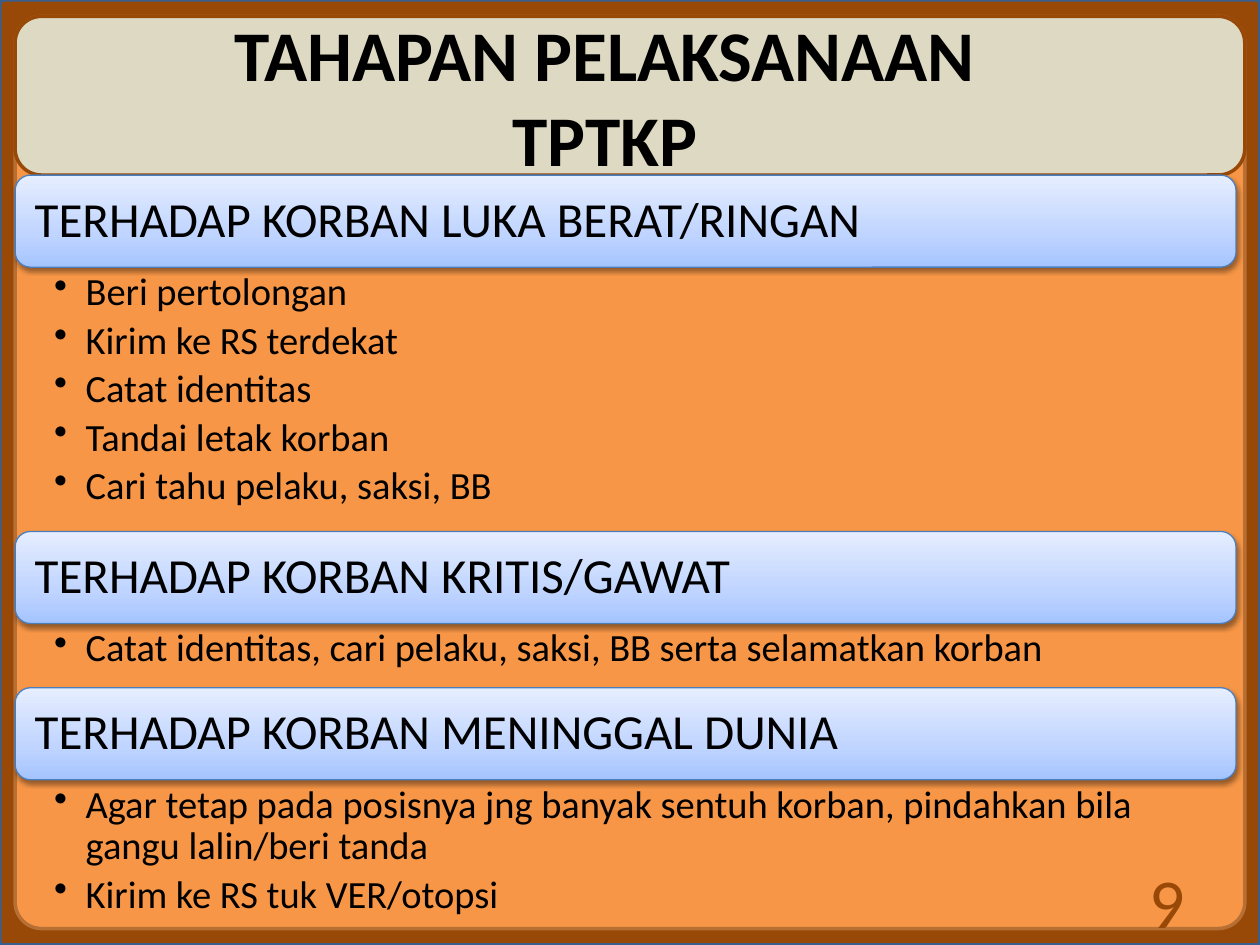
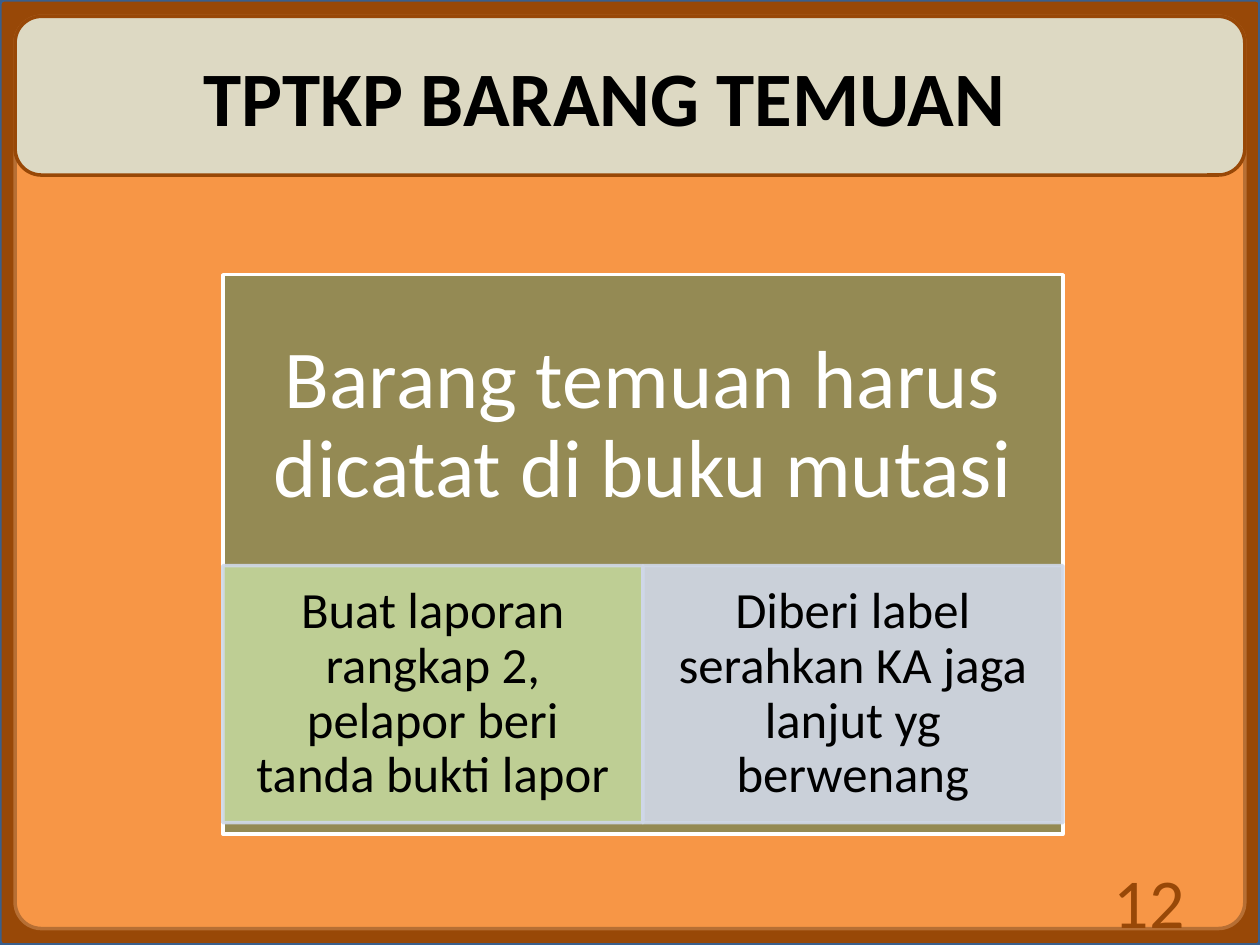
from collections import namedtuple
from dataclasses import dataclass

from pptx import Presentation
from pptx.dml.color import RGBColor
from pptx.enum.shapes import MSO_SHAPE
from pptx.enum.text import MSO_ANCHOR, MSO_AUTO_SIZE, PP_ALIGN
from pptx.oxml import parse_xml
from pptx.oxml.ns import nsdecls, qn
from pptx.util import Pt

Box = namedtuple("Box", "x y w h")


@dataclass(frozen=True)
class Theme:
    font: str = "Calibri"
    # Colours
    text: str = "000000"
    white: str = "FFFFFF"
    brown: str = "984807"
    page_edge: str = "3A5F8C"
    orange: str = "F79646"
    panel_edge: str = "B76F34"
    beige: str = "DDD9C3"
    bar_edge: str = "4B7EBC"
    bar_stops: tuple = ((0, "A4C4FF"), (35, "BFD4FF"), (100, "E6EEFF"))
    olive: str = "948A54"
    green: str = "C3D69B"
    mist: str = "D0D8E8"
    # Type sizes
    title: float = 44
    long_title: float = 40.7
    number: float = 40
    heading: float = 28
    item: float = 22
    lead: float = 47
    detail: float = 29


T = Theme()
PAGE = Box(0, 0, 720, 540)
PANEL = Box(8.64, 9.36, 702.72, 521.28)
BAND = Box(PANEL.x, PANEL.y, PANEL.w, 90.72)
TITLE = Box(70.56, BAND.y, 550.08, BAND.h)
NUMBER = Box(516.24, 500.4, 167.76, 28.8)
SECTIONS = Box(PANEL.x, 100.1, 697.7, 430)
FINDING = Box(127.4, 157, 480, 319.7)


def rgb(value):
    return RGBColor.from_string(value)


def lengths(box):
    return [Pt(v) for v in box]


def add_block(s, kind, box, fill, edge, weight=2, adj=None, alpha=None):
    """Add an outlined shape; with fill=None its fill is left to the caller."""
    sp = s.shapes.add_shape(kind, *lengths(box))
    sp.shadow.inherit = False
    if fill:
        sp.fill.solid()
        sp.fill.fore_color.rgb = rgb(fill)
    sp.line.color.rgb = rgb(edge)
    sp.line.width = Pt(weight)
    if adj is not None:
        sp.adjustments[0] = adj
    if alpha:
        for clr in sp.element.spPr.iter(qn("a:srgbClr")):
            clr.append(parse_xml(f'<a:alpha {nsdecls("a")} val="{alpha * 1000}"/>'))
    return sp


def set_frame(sp, insets, anchor=MSO_ANCHOR.MIDDLE):
    tf = sp.text_frame
    tf.word_wrap = True
    tf.auto_size = MSO_AUTO_SIZE.NONE
    tf.vertical_anchor = anchor
    tf.margin_left, tf.margin_top, tf.margin_right, tf.margin_bottom = map(Pt, insets)
    return tf


def write(p, text, size, color=T.text, align=PP_ALIGN.LEFT, bold=False, spacing=None):
    p.alignment = align
    p.line_spacing = spacing
    r = p.add_run()
    r.text = text
    r.font.name, r.font.size, r.font.bold = T.font, Pt(size), bold
    r.font.color.rgb = rgb(color)


def add_bullet(p):
    pPr = p._p.get_or_add_pPr()
    pPr.set("marL", str(Pt(18)))
    pPr.set("indent", str(-Pt(18)))
    pPr.append(parse_xml(f'<a:buChar {nsdecls("a")} char="•"/>'))


def build_backdrop(s):
    """Draw the frame, panel and title band, then hand them to the shared layout."""
    kind = MSO_SHAPE.ROUNDED_RECTANGLE
    parts = [
        add_block(s, kind, PAGE, T.brown, T.page_edge, adj=0.004),
        add_block(s, kind, PANEL, T.orange, T.panel_edge, adj=0.029),
        add_block(s, kind, BAND, T.beige, T.brown),
    ]
    tree = s.slide_layout.shapes.element
    for i, sp in enumerate(parts):
        sp.element.nvSpPr.cNvPr.set("id", str(100 + i))
        tree.insert(2 + i, sp.element)


def add_title(s, box, text, size):
    sp = s.shapes.title
    sp.left, sp.top, sp.width, sp.height = lengths(box)
    tf = set_frame(sp, (10, 3.6, 10, 3.6))
    write(tf.paragraphs[0], text, size, align=PP_ALIGN.CENTER, bold=True)


def add_number(s, box, number):
    tf = set_frame(s.shapes.add_textbox(*lengths(box)), (7.2, 3.6, 7.2, 3.6))
    write(tf.paragraphs[0], number, T.number, T.brown, PP_ALIGN.RIGHT)


def add_heading_bar(s, box, text):
    sp = add_block(s, MSO_SHAPE.ROUNDED_RECTANGLE, box, None, T.bar_edge, 0.75)
    spPr = sp.element.spPr
    # Gradient rising from the bottom edge, placed after the geometry
    stops = "".join(f'<a:gs pos="{pos * 1000}"><a:srgbClr val="{c}"/></a:gs>'
                    for pos, c in T.bar_stops)
    spPr.insert(2, parse_xml(
        f'<a:gradFill {nsdecls("a")} rotWithShape="1"><a:gsLst>{stops}</a:gsLst>'
        '<a:lin ang="16200000" scaled="0"/></a:gradFill>'))
    # Soft shadow below
    spPr.find(qn("a:effectLst")).append(parse_xml(
        f'<a:outerShdw {nsdecls("a")} blurRad="{Pt(3.1)}" dist="{Pt(1.6)}" dir="5400000" '
        'rotWithShape="0"><a:srgbClr val="000000"><a:alpha val="38000"/></a:srgbClr>'
        '</a:outerShdw>'))
    tf = set_frame(sp, (8.64,) * 4)
    write(tf.paragraphs[0], text, T.heading, spacing=0.9)


def add_bullet_list(s, box, items):
    sp = s.shapes.add_textbox(*lengths(box))
    tf = set_frame(sp, (22.3, 2.9, 15.8, 2.9), MSO_ANCHOR.TOP)
    for i, item in enumerate(items):
        p = tf.paragraphs[0] if i == 0 else tf.add_paragraph()
        write(p, item, T.item, spacing=0.9)
        p.space_after = Pt(4)
        add_bullet(p)


def add_sections(s, box, sections):
    """Stack heading bars and their lists down the box."""
    bar_h, y = 52.6, box.y
    for heading, list_h, items in sections:
        add_heading_bar(s, Box(box.x, y, box.w, bar_h), heading)
        add_bullet_list(s, Box(box.x, y + bar_h, box.w, list_h), items)
        y += bar_h + list_h


def add_finding(s, box, lead, details):
    """Fill the box with a lead statement over a row of equal detail cells."""
    row_y, row_h = box.y + 166.3, 146.9
    lead_h = 172.8
    sp = add_block(s, MSO_SHAPE.RECTANGLE, box, T.olive, T.white)
    tf = set_frame(sp, (26.6, 26.6, 26.6, box.h - lead_h + 26.6))
    write(tf.paragraphs[0], lead, T.lead, T.white, PP_ALIGN.CENTER, spacing=0.9)
    cell_w = box.w / len(details)
    for i, (text, fill) in enumerate(details):
        cell = Box(box.x + i * cell_w, row_y, cell_w, row_h)
        sp = add_block(s, MSO_SHAPE.RECTANGLE, cell, fill, T.mist, alpha=90)
        tf = set_frame(sp, (16.6, 2.9, 16.6, 2.9))
        write(tf.paragraphs[0], text, T.detail, align=PP_ALIGN.CENTER, spacing=0.9)


def add_titled_slide(prs, title, size, number):
    s = prs.slides.add_slide(prs.slide_layouts[5])
    add_title(s, TITLE, title, size)
    add_number(s, NUMBER, number)
    return s


def main():
    prs = Presentation()
    prs.slide_width, prs.slide_height = Pt(PAGE.w), Pt(PAGE.h)

    # Handling of victims
    s = add_titled_slide(prs, "TAHAPAN PELAKSANAAN TPTKP", T.long_title, "9")
    build_backdrop(s)
    add_sections(s, SECTIONS, [
        ("TERHADAP KORBAN LUKA BERAT/RINGAN", 151, [
            "Beri pertolongan",
            "Kirim ke RS terdekat",
            "Catat identitas",
            "Tandai letak korban",
            "Cari tahu pelaku, saksi, BB",
        ]),
        ("TERHADAP KORBAN KRITIS/GAWAT", 36.7, [
            "Catat identitas, cari pelaku, saksi, BB serta selamatkan korban",
        ]),
        ("TERHADAP KORBAN MENINGGAL DUNIA", 84.2, [
            "Agar tetap pada posisnya jng banyak sentuh korban, "
            "pindahkan bila gangu lalin/beri tanda",
            "Kirim ke RS tuk VER/otopsi",
        ]),
    ])

    # Found goods
    s = add_titled_slide(prs, "TPTKP BARANG TEMUAN", T.title, "12")
    add_finding(s, FINDING, "Barang temuan harus dicatat di buku mutasi", [
        ("Buat laporan rangkap 2, pelapor beri tanda bukti lapor", T.green),
        ("Diberi label serahkan KA jaga lanjut yg berwenang", T.mist),
    ])

    prs.save("out.pptx")


if __name__ == "__main__":
    main()
